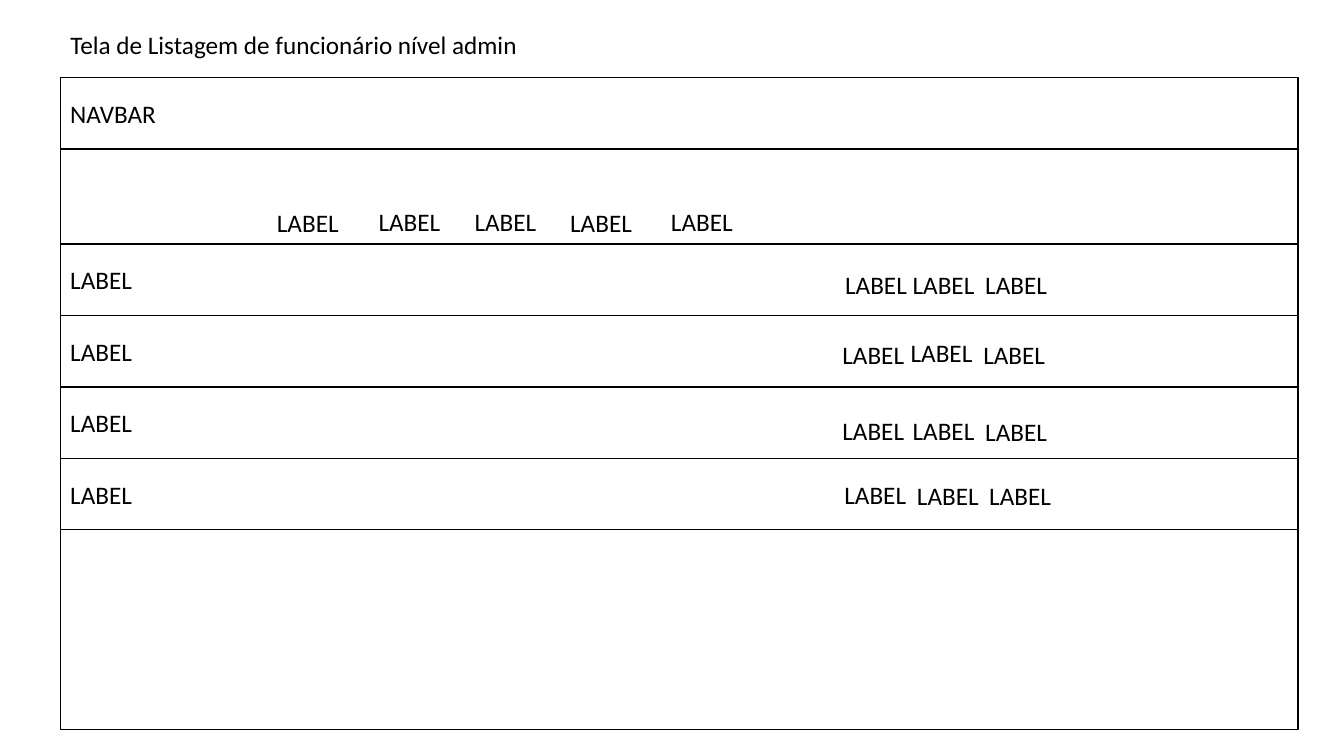
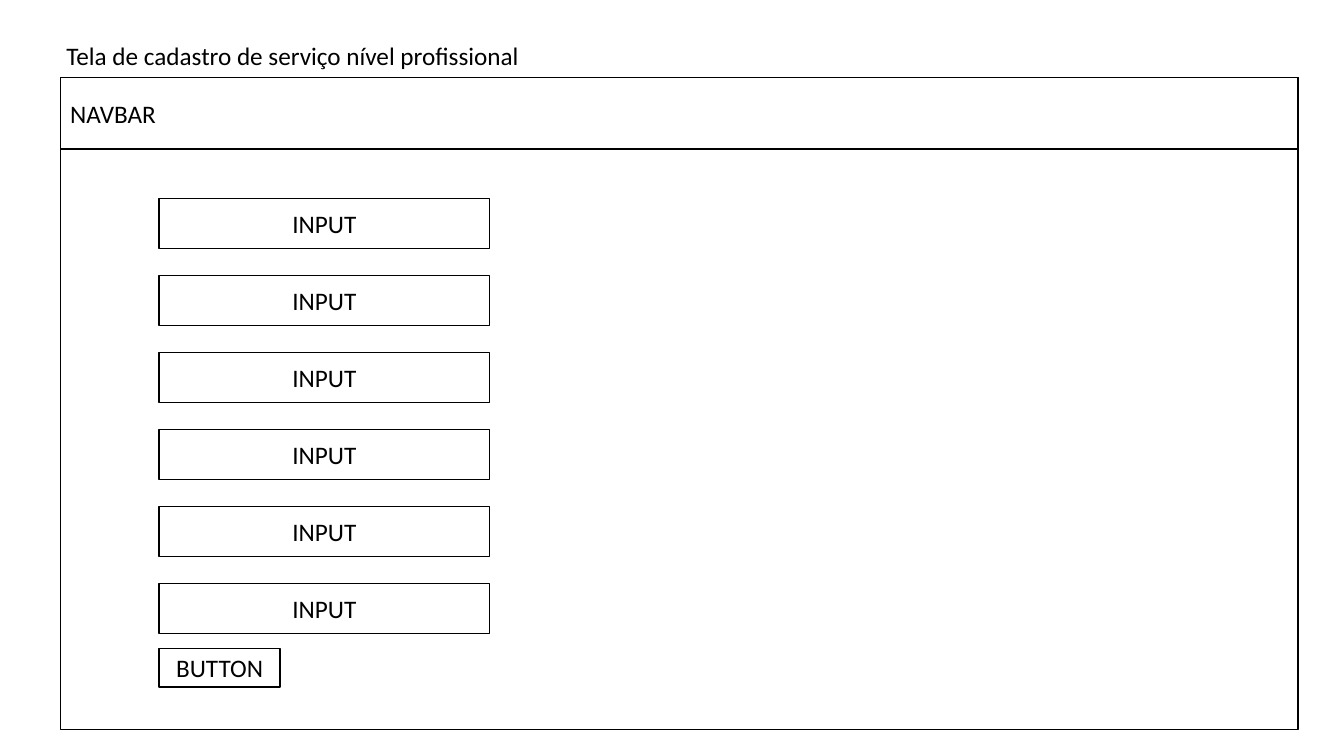
"""Build two wireframe slides: a staff list and a service form."""
from dataclasses import dataclass

from pptx import Presentation
from pptx import util as u
from pptx.dml import color
from pptx.enum import shapes, text


@dataclass(frozen=True)
class Theme:
    """Colours, type and line weight shared by the slides."""
    ink: color.RGBColor = color.RGBColor(0, 0, 0)
    paper: color.RGBColor = color.RGBColor(255, 255, 255)
    font: str = "Calibri"
    size: int = 18
    line: int = 1


@dataclass(frozen=True)
class Box:
    """A region in centimetres."""
    x: float
    y: float
    w: float
    h: float

    def inner(self, x, y, w, h):
        """Return a box placed relative to this one."""
        return Box(self.x + x, self.y + y, w, h)

    def sides(self):
        """Return the position and size as lengths."""
        return [u.Cm(n) for n in (self.x, self.y, self.w, self.h)]


THEME = Theme()
FRAME = Box(1.52, 1.96, 31.19, 16.43)
BAR = 1.8
LABEL = (3.45, 1.02)
HEADS = ((5.21, 3.15), (7.77, 3.12), (10.19, 3.12), (12.6, 3.15), (15.14, 3.12))
ROWS = (
    ((19.53, 0.51), (21.23, 0.51), (23.06, 0.51)),
    ((19.46, 0.48), (21.18, 0.43), (23.01, 0.48)),
    ((19.46, 0.58), (21.23, 0.58), (23.06, 0.61)),
    ((19.51, 0.41), (21.34, 0.43), (23.16, 0.43)),
)


def write(shape, words, align=text.PP_ALIGN.LEFT, anchor=text.MSO_ANCHOR.TOP):
    """Set the words of a shape in the theme's type."""
    frame = shape.text_frame
    frame.text = words
    frame.word_wrap = True
    frame.auto_size = text.MSO_AUTO_SIZE.NONE
    frame.vertical_anchor = anchor
    para = frame.paragraphs[0]
    para.alignment = align
    for run in para.runs:
        run.font.name = THEME.font
        run.font.size = u.Pt(THEME.size)
        run.font.color.rgb = THEME.ink


def panel(slide, box, words="", align=text.PP_ALIGN.LEFT):
    """Draw an outlined rectangle with optional words."""
    shape = slide.shapes.add_shape(shapes.MSO_SHAPE.RECTANGLE, *box.sides())
    shape.shadow.inherit = False
    shape.fill.solid()
    shape.fill.fore_color.rgb = THEME.paper
    shape.line.color.rgb = THEME.ink
    shape.line.width = u.Pt(THEME.line)
    if words:
        write(shape, words, align, text.MSO_ANCHOR.MIDDLE)


def labels(slide, box, spots):
    """Place a label at each spot of the box."""
    for x, y in spots:
        area = box.inner(x, y, *LABEL)
        write(slide.shapes.add_textbox(*area.sides()), "LABEL")


def screen(deck, title, box):
    """Add a slide with its title, frame and navigation bar."""
    slide = deck.slides.add_slide(deck.slide_layouts[5])
    head = slide.shapes.title
    head.left, head.top, head.width, head.height = box.sides()
    write(head, title)
    panel(slide, FRAME)
    panel(slide, FRAME.inner(0, 0, FRAME.w, BAR), "NAVBAR")
    return slide


def listing(slide, box):
    """Fill the box with column heads and staff rows."""
    for index, spots in enumerate(ROWS):
        row = box.inner(0, 4.19 + index * BAR, box.w, BAR)
        panel(slide, row, "LABEL")
        labels(slide, row, spots)
    labels(slide, box, HEADS)


def form(slide, box):
    """Fill the box with evenly spaced inputs and a button."""
    mid = text.PP_ALIGN.CENTER
    for index in range(6):
        panel(slide, box.inner(2.49, 3.05 + index * 1.94, 8.33, 1.25), "INPUT", mid)
    panel(slide, box.inner(2.49, 14.38, 3.05, 0.97), "BUTTON", mid)


def main():
    """Build and save the deck."""
    deck = Presentation()
    deck.slide_width, deck.slide_height = u.Cm(33.87), u.Cm(19.05)
    staff = screen(deck, "Tela de Listagem de funcionário nível admin",
                   Box(1.52, 0.61, 12.75, 1.02))
    listing(staff, FRAME)
    entry = screen(deck, "Tela de cadastro de serviço nível profissional",
                   Box(1.42, 0.88, 12.75, 1.02))
    form(entry, FRAME)
    deck.save("out.pptx")


if __name__ == "__main__":
    main()
